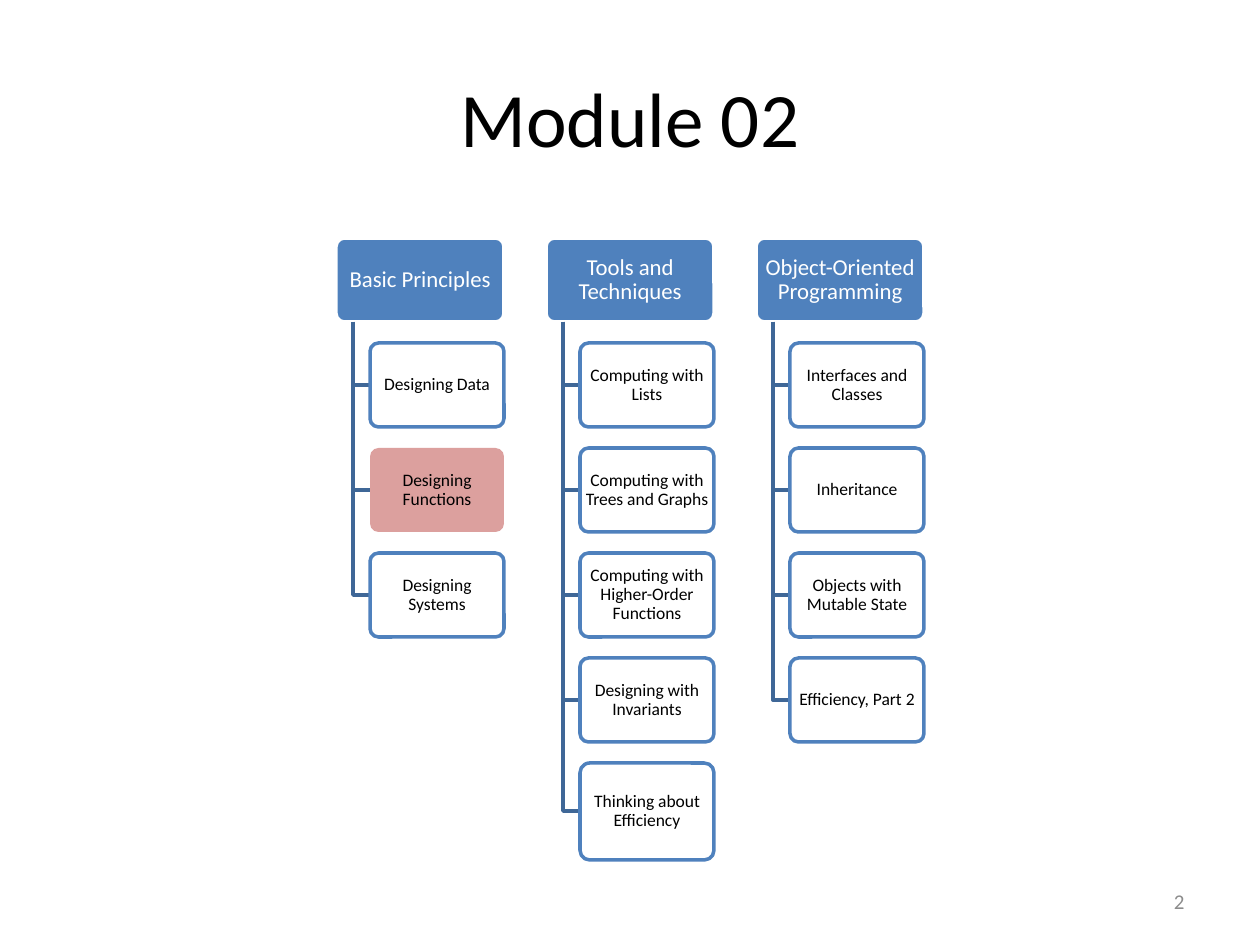
from lxml import etree
from pptx import Presentation
from pptx import util as u
from pptx.dml.color import RGBColor
from pptx.enum import shapes, text
from pptx.oxml.ns import qn

EMU_PER_PX = 914400 / 126
COLOURS = {
    "blue": "4F81BD",
    "connector": "3F6797",
    "white": "FFFFFF",
    "highlight": "D99694",
    "black": "000000",
    "grey": "8C8C8C",
}

COLUMN_LEFT, COLUMN_STEP = 336, 210
HEADER_TOP, HEADER_WIDTH, HEADER_HEIGHT = 238, 168, 84
SPINE_INDENT, TOPIC_INDENT = 17, 34
TOPIC_TOP, TOPIC_STEP, TOPIC_WIDTH, TOPIC_HEIGHT = 343, 105, 134, 84
TALL_TOPIC_HEIGHT = 97

COLUMNS = [
    ("Basic Principles",
     ["Designing Data", "Designing Functions", "Designing Systems"]),
    ("Tools and Techniques",
     ["Computing with Lists", "Computing with Trees and Graphs",
      "Computing with Higher-Order Functions", "Designing with Invariants",
      "Thinking about Efficiency"]),
    ("Object-Oriented Programming",
     ["Interfaces and Classes", "Inheritance", "Objects with Mutable State",
      "Efficiency, Part 2"]),
]
CURRENT_TOPIC = "Designing Functions"
TALL_TOPIC = "Thinking about Efficiency"


def px(length):
    return u.Emu(round(length * EMU_PER_PX))


def colour(name):
    return RGBColor.from_string(COLOURS[name])


def write_text(shape, content, size, colour_name="black",
               align=text.PP_ALIGN.CENTER, spacing=None, margins=None):
    """Fill a shape with one paragraph; margins are (side, top and bottom) in px."""
    frame = shape.text_frame
    frame.word_wrap = True
    frame.vertical_anchor = text.MSO_ANCHOR.MIDDLE
    if margins:
        frame.margin_left = frame.margin_right = px(margins[0])
        frame.margin_top = frame.margin_bottom = px(margins[1])
    paragraph = frame.paragraphs[0]
    paragraph.alignment = align
    if spacing:
        paragraph.line_spacing = spacing
    run = paragraph.add_run()
    run.text = content
    run.font.name = "Calibri"
    run.font.size = u.Pt(size)
    run.font.color.rgb = colour(colour_name)


def add_box(group, left, top, width, height, fill, line=None, opacity=100):
    shape = group.shapes.add_shape(
        shapes.MSO_SHAPE.ROUNDED_RECTANGLE,
        px(left), px(top), px(width), px(height))
    shape.adjustments[0] = 0.1
    shape.shadow.inherit = False
    shape.fill.solid()
    shape.fill.fore_color.rgb = colour(fill)
    if opacity < 100:
        fill_colour = shape.fill._xPr.find(qn("a:solidFill"))[0]
        etree.SubElement(fill_colour, qn("a:alpha"), val=str(opacity * 1000))
    if line:
        shape.line.color.rgb = colour(line)
        shape.line.width = u.Pt(2)
    else:
        shape.line.fill.background()
    return shape


def add_branch(group, left, top, right, bottom):
    """Draw an L-shaped line down from a header and across to a topic."""
    builder = group.shapes.build_freeform(left, top, scale=EMU_PER_PX)
    builder.add_line_segments([(left, bottom), (right, bottom)], close=False)
    branch = builder.convert_to_shape()
    branch.shadow.inherit = False
    branch.fill.background()
    branch.line.color.rgb = colour("connector")
    branch.line.width = u.Pt(2)


def add_column(group, left, heading, topics):
    header = add_box(group, left, HEADER_TOP, HEADER_WIDTH, HEADER_HEIGHT,
                     "blue", line="white")
    write_text(header, heading, 13, "white", spacing=0.9, margins=(3, 2))
    topic_left = left + TOPIC_INDENT
    for row, topic in enumerate(topics):
        top = TOPIC_TOP + row * TOPIC_STEP
        height = TALL_TOPIC_HEIGHT if topic == TALL_TOPIC else TOPIC_HEIGHT
        current = topic == CURRENT_TOPIC
        add_branch(group, left + SPINE_INDENT, HEADER_TOP + HEADER_HEIGHT,
                   topic_left, top + height // 2)
        box = add_box(group, topic_left, top, TOPIC_WIDTH, height,
                      "highlight" if current else "white",
                      line=None if current else "blue", opacity=90)
        write_text(box, topic, 10, spacing=0.9, margins=(2, 2))


def add_title(slide, content):
    title = slide.shapes.title
    title.left, title.top = px(63), px(38)
    title.width, title.height = px(1134), px(158)
    write_text(title, content, 44)


def add_slide_number(slide, number):
    box = slide.shapes.add_textbox(px(903), px(876), px(294), px(50))
    write_text(box, number, 12, "grey", align=text.PP_ALIGN.RIGHT)


def main():
    presentation = Presentation()
    presentation.slide_width, presentation.slide_height = px(1260), px(945)
    slide = presentation.slides.add_slide(presentation.slide_layouts[5])
    add_title(slide, "Module 02")
    add_slide_number(slide, "2")
    group = slide.shapes.add_group_shape()
    for index, (heading, topics) in enumerate(COLUMNS):
        add_column(group, COLUMN_LEFT + index * COLUMN_STEP, heading, topics)
    presentation.save("out.pptx")


if __name__ == "__main__":
    main()
